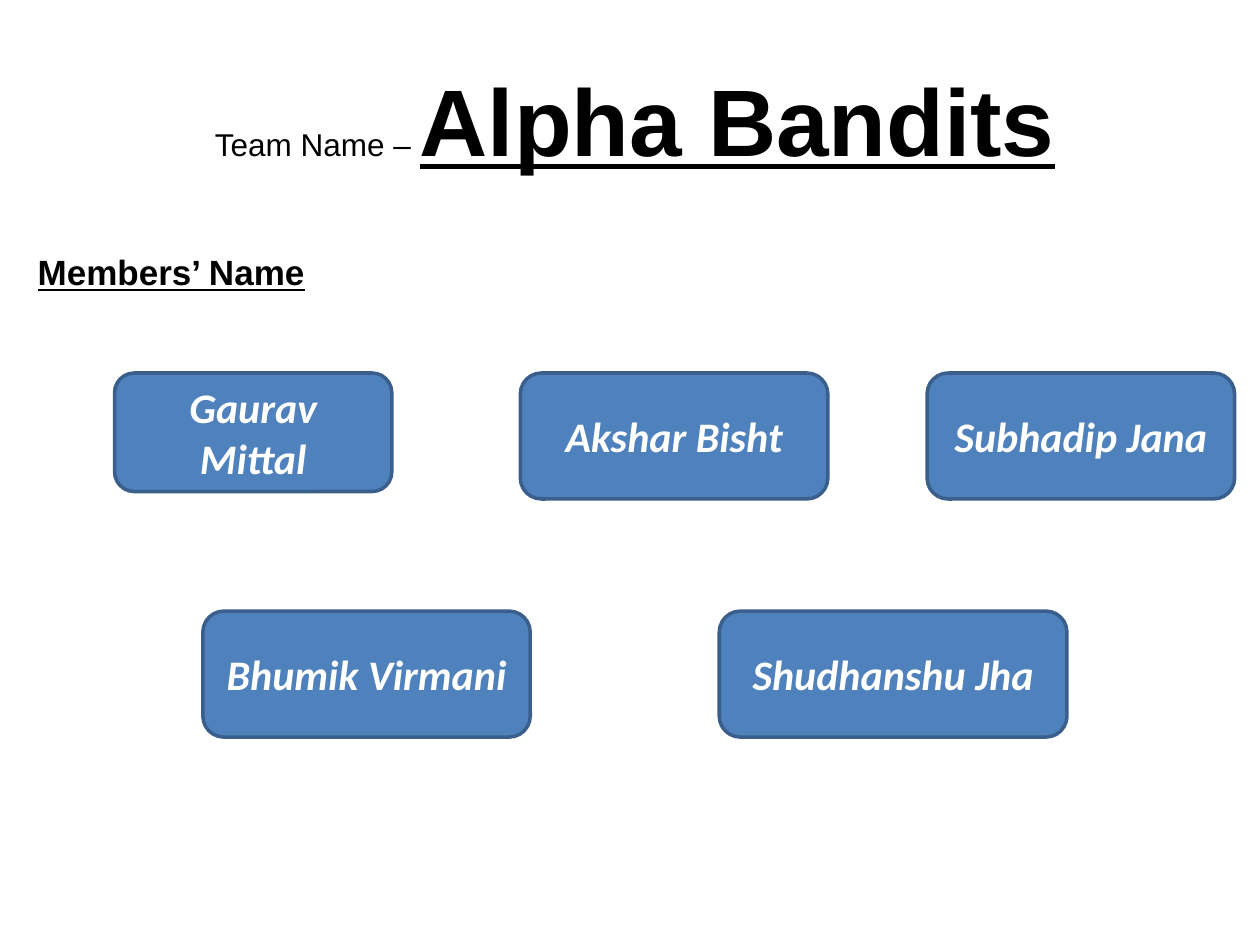
from pptx import Presentation
from pptx.dml.color import RGBColor
from pptx.enum.shapes import MSO_SHAPE
from pptx.enum.text import MSO_ANCHOR, PP_ALIGN
from pptx.util import Cm, Pt

COLORS = {"text": "000000", "card": "4F81BD", "border": "3A5F8C", "name": "FFFFFF"}

# Each row: top, then (name, left, width, height) for each card, in cm
MEMBER_ROWS = [
    (7.52, [("Gaurav Mittal", 2.31, 5.59, 2.39),
            ("Akshar Bisht", 10.49, 6.2, 2.54),
            ("Subhadip Jana", 18.69, 6.2, 2.54)]),
    (12.32, [("Bhumik Virmani", 4.09, 6.6, 2.54),
             ("Shudhanshu Jha", 14.5, 7.01, 2.54)]),
]


def color(name):
    return RGBColor.from_string(COLORS[name])


def style_font(font, typeface, size, color_name):
    font.name = typeface
    font.size = Pt(size)
    font.color.rgb = color(color_name)


def add_text_box(slide, box):
    """Add a wrapping text box and return its first paragraph."""
    text_frame = slide.shapes.add_textbox(*map(Cm, box)).text_frame
    text_frame.word_wrap = True
    return text_frame.paragraphs[0]


def add_title(slide, box):
    paragraph = add_text_box(slide, box)
    paragraph.alignment = PP_ALIGN.CENTER
    label = paragraph.add_run()
    label.text = "Team Name – "
    style_font(label.font, "Arial", 18, "text")
    team = paragraph.add_run()
    team.text = "Alpha Bandits"
    style_font(team.font, "Arial", 54, "text")
    team.font.bold = team.font.underline = True


def add_heading(slide, box):
    paragraph = add_text_box(slide, box)
    paragraph.text = "Members’ Name"
    style_font(paragraph.font, "Arial", 20, "text")
    paragraph.font.bold = paragraph.font.underline = True


def add_member_card(slide, box, name):
    card = slide.shapes.add_shape(MSO_SHAPE.ROUNDED_RECTANGLE, *map(Cm, box))
    card.shadow.inherit = False
    card.fill.solid()
    card.fill.fore_color.rgb = color("card")
    card.line.color.rgb = color("border")
    card.line.width = Pt(2)
    card.text_frame.word_wrap = True
    card.text_frame.vertical_anchor = MSO_ANCHOR.MIDDLE
    paragraph = card.text_frame.paragraphs[0]
    paragraph.text = name
    paragraph.alignment = PP_ALIGN.CENTER
    style_font(paragraph.font, "Calibri", 24, "name")
    paragraph.font.bold = paragraph.font.italic = True


def main():
    presentation = Presentation()
    presentation.slide_width = Cm(25.4)
    presentation.slide_height = Cm(19.05)
    slide = presentation.slides.add_slide(presentation.slide_layouts[6])
    add_title(slide, (1.7, 1.12, 22.2, 2.57))
    add_heading(slide, (0.51, 4.93, 5.99, 1.12))
    for top, members in MEMBER_ROWS:
        for name, left, width, height in members:
            add_member_card(slide, (left, top, width, height), name)
    presentation.save("out.pptx")


if __name__ == "__main__":
    main()
